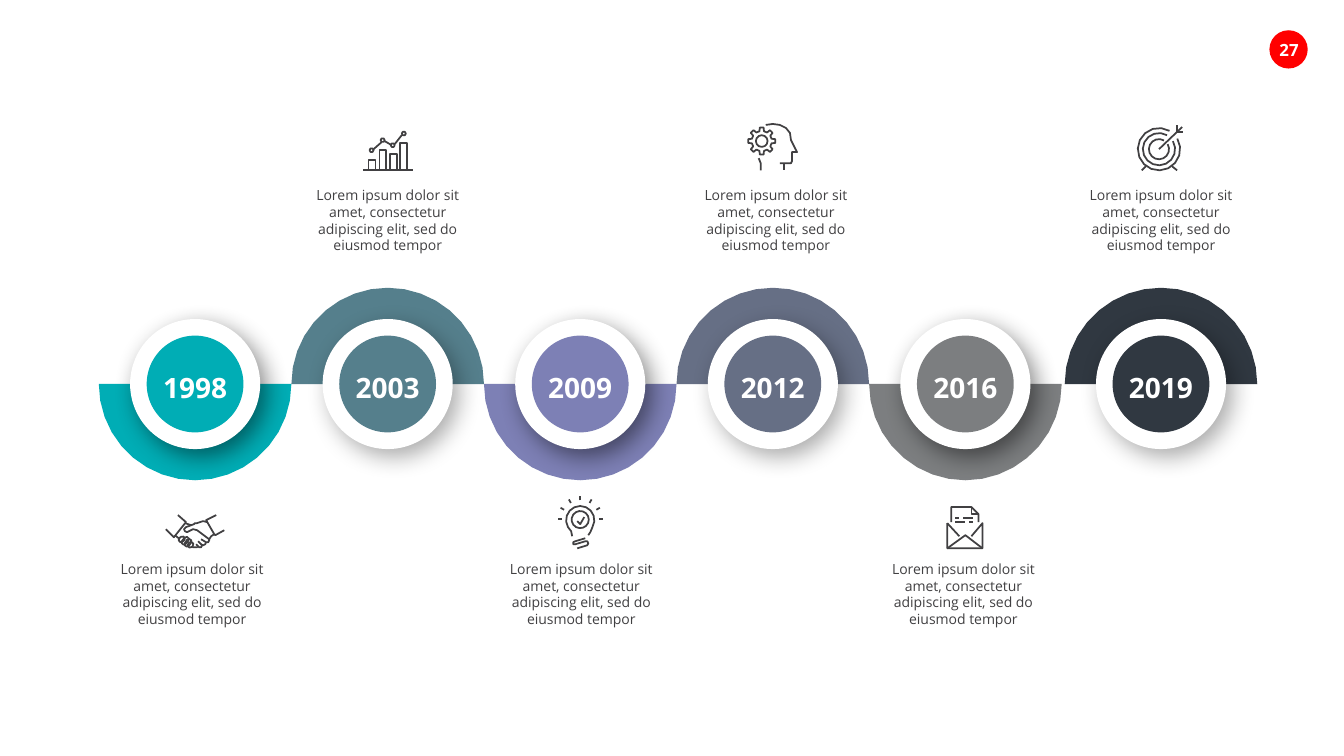
import math

import lxml.etree
import pptx
import pptx.dml.color
import pptx.enum.shapes
import pptx.enum.text
import pptx.oxml.ns
import pptx.util

FONT = "Open Sans"
INK = "414042"
WHITE = "FFFFFF"
LABEL = "Lorem ipsum dolor sit amet, consectetur adipiscing elit, sed do eiusmod tempor"

# Grid in inches: one column per stop, all hung on the middle axis
LEFT, COLUMN, AXIS = 0.98, 1.91, 3.81
RADIUS = COLUMN / 2
ICON_BASE = {"up": 1.69, "down": 5.44}
LABEL_TOP = {"up": 1.8, "down": 5.51}


# Stroke geometry: lists of (x, y) points, y pointing up
def polar(x, y, radius, angle):
    turn = math.radians(angle)
    return x + radius * math.cos(turn), y + radius * math.sin(turn)


def arc(x, y, radius, start=0, end=360, step=24):
    count = math.ceil(abs(end - start) / step)
    return [polar(x, y, radius, start + (end - start) * i / count) for i in range(count + 1)]


def bar(left, right, height):
    return [(left, 0), (left, height), (right, height), (right, 0), (left, 0)]


def finger(x1, y1, x2, y2, radius=2.4):
    turn = math.degrees(math.atan2(y2 - y1, x2 - x1))
    outline = arc(x1, y1, radius, turn + 90, turn + 270, 60)
    outline += arc(x2, y2, radius, turn - 90, turn + 90, 60)
    return outline + outline[:1]


def ray(x, y, inner, outer, angle):
    return [polar(x, y, radius, angle) for radius in (inner, outer)]


def gear(x, y):
    corners = ((10, -13), (13.5, -8), (13.5, 8), (10, 13))
    outline = [polar(x, y, radius, tooth + turn)
               for tooth in range(0, 360, 45) for radius, turn in corners]
    return outline + outline[:1]


# Icons in hundredths of an inch, from the middle of the column and the icon's base
HANDSHAKE = [
    finger(-14, 8.5, -12.5, 9.5), finger(-11, 6, -8.5, 9),
    finger(-8, 4, -6, 7), finger(-5, 3, -4, 4),
    [(6, 9), (11, 6), (13, 6), (14, 8), (14, 9)],
    [(3, 7), (6, 4), (8, 3), (10, 4), (11, 6)],
    [(1, 4), (3, 2), (4, 1), (6, 1), (7, 3), (6, 4)],
    [(-3, 2), (-2, 1), (0, 1), (2, 1), (2, 2)],
    [(21, 33), (11, 28), (19, 14), (20, 13), (29, 18)],
    [(12, 26), (8, 27), (2, 25), (0, 25), (-1, 24), (-9, 21), (-11, 19),
     (-10, 17), (-8, 16), (-2, 19), (2, 18), (14, 9), (16, 12), (19, 14)],
    [(-29, 19), (-21, 11), (-9, 26), (-17, 33)],
    [(-20, 13), (-15, 9)], [(-4, 23), (-10, 25)],
]
CHART = [
    [(-24, 0), (25, 0)],
    bar(-19, -12, 10), bar(-8, -2, 20), bar(2, 9, 16), bar(12, 19, 27),
    *[arc(x, y, 2, step=60) for x, y in ((-16, 20), (-5, 30), (5, 25), (16, 36.5))],
    [(-14, 21), (-6, 28)], [(-3, 29), (4, 25)], [(7, 26), (14, 35)],
]
BULB = [
    [(-8, 12), (-9, 17), *arc(0, 28, 14, 210, -30), (10, 16), (8, 13)],
    arc(0, 28.5, 8.5), [(-3, 27), (0, 24), (4, 31)],
    *[ray(0, 29, 18.5, 22.5, angle) for angle in range(0, 181, 30)],
    [(5, 10), (-5, 7), (-7, 6), (-7, 4), (-5, 4), (5, 7), (7, 7), (8, 5), (7, 3), (-3, 0)],
]
THINKER = [
    [(-7, 45), (0, 46), (7, 45), (13, 42), (17, 37), (18, 30), (24, 18), (19, 18),
     (19, 9), (18, 7), (16, 7), (7, 7)],
    [(11, 7), (11, 0)], [(-12, 0), (-12, 7), (-14, 12)],
    gear(-11, 29), arc(-11, 29, 5.8, step=30),
]
LETTER = [
    [(-18, 25), (-18, 0), (17, 0), (17, 25), (6, 12)],
    [(17, 0), (0, 13), (-18, 0)], [(-18, 25), (-6, 12)],
    [(13, 26), (13, 34), (6, 41), (-14, 41), (-14, 26)],
    [(6, 41), (6, 34), (13, 34)],
    [(-10, 30), (-6, 30)], [(-2, 30), (8, 30)], [(-10, 26), (0, 26)], [(4, 26), (8, 26)],
]
TARGET = [
    *[arc(-2, 21, radius, 30, -300) for radius in (21, 16, 10)],
    [(-2, 21), (21, 43)], [(16, 45), (16, 38), (22, 38)],
    [(-19, 0), (-15, 4)], [(11, 4), (16, 0)],
]

# Year, colour, side of the axis, icon, shift of the column, shift of the label
STOPS = [
    ("1998", "00ADB5", "down", HANDSHAKE, 0, -0.03),
    ("2003", "557F8C", "up", CHART, 0, 0),
    ("2009", "7D80B5", "down", BULB, 0, 0.01),
    ("2012", "666F85", "up", THINKER, 0, 0.03),
    ("2016", "7C7E80", "down", LETTER, 0, -0.02),
    ("2019", "303841", "up", TARGET, 0.03, 0),
]


def colour(code):
    return pptx.dml.color.RGBColor.from_string(code)


def inches(*lengths):
    return [pptx.util.Inches(length) for length in lengths]


def add_strokes(page, strokes, x, y, unit):
    """Draw strokes as one outline, their zero point at x, y."""
    placed = [[inches(x + a * unit, y - b * unit) for a, b in stroke] for stroke in strokes]
    builder = page.shapes.build_freeform(*placed[0][0], scale=1.0)
    for index, points in enumerate(placed):
        if index:
            builder.move_to(*points[0])
        builder.add_line_segments(points[1:], close=False)
    outline = builder.convert_to_shape()
    outline.shadow.inherit = False
    return outline


def add_half_disc(page, middle, side, fill):
    start = 0 if side == "up" else 180
    rim = arc(0, 0, 1, start, start + 180, 10)
    half = add_strokes(page, [rim + rim[:1]], middle, AXIS, RADIUS)
    half.fill.solid()
    half.fill.fore_color.rgb = colour(fill)
    half.line.fill.background()


def add_icon(page, strokes, middle, base):
    icon = add_strokes(page, strokes, middle, base, 0.01)
    icon.fill.background()
    icon.line.color.rgb = colour(INK)
    icon.line.width = pptx.util.Pt(1.25)


def add_disc(shapes, x, y, size, fill):
    oval = pptx.enum.shapes.MSO_SHAPE.OVAL
    disc = shapes.add_shape(oval, *inches(x - size / 2, y - size / 2, size, size))
    disc.fill.solid()
    disc.fill.fore_color.rgb = colour(fill)
    disc.line.fill.background()
    disc.shadow.inherit = False
    return disc


def add_glow(disc, opacity):
    qn = pptx.oxml.ns.qn
    effects = disc._element.spPr.find(qn("a:effectLst"))
    shadow = lxml.etree.SubElement(
        effects, qn("a:outerShdw"), blurRad=str(pptx.util.Pt(17)), dist=str(pptx.util.Pt(7)),
        dir=str(50 * 60000), algn="ctr", rotWithShape="0")
    black = lxml.etree.SubElement(shadow, qn("a:srgbClr"), val="000000")
    lxml.etree.SubElement(black, qn("a:alpha"), val=str(opacity * 1000))


def add_text(shapes, text, place, size, ink, bold=False, wrap=False, inset=True):
    box = shapes.add_textbox(*inches(*place))
    frame = box.text_frame
    frame.word_wrap = wrap
    frame.auto_size = pptx.enum.text.MSO_AUTO_SIZE.SHAPE_TO_FIT_TEXT
    if not inset:
        frame.margin_left = frame.margin_right = frame.margin_top = frame.margin_bottom = 0
    frame.text = text
    para = frame.paragraphs[0]
    para.alignment = pptx.enum.text.PP_ALIGN.CENTER
    font = para.runs[0].font
    font.name, font.size, font.bold = FONT, pptx.util.Pt(size), bold
    font.color.rgb = colour(ink)


def add_marker(page, middle, year, fill, opacity):
    shapes = page.shapes.add_group_shape().shapes
    add_glow(add_disc(shapes, middle, AXIS, 1.29, WHITE), opacity)
    add_disc(shapes, middle, AXIS, 0.96, fill)
    add_text(shapes, year, (middle - 0.32, 3.68, 0.64, 0.34), 20, WHITE, bold=True, inset=False)


def main():
    deck = pptx.Presentation()
    deck.slide_width, deck.slide_height = inches(13.33, 7.5)
    page = deck.slides.add_slide(deck.slide_layouts[6])

    # Page number
    add_disc(page.shapes, 12.78, 0.49, 0.38, "FF0000")
    add_text(page.shapes, "27", (12.57, 0.35, 0.43, 0.3), 12, WHITE, bold=True)

    # Wave of half discs, below the markers
    middles = [LEFT + COLUMN * (i + 0.5) + stop[4] for i, stop in enumerate(STOPS)]
    for middle, (_, fill, side, *_) in zip(middles, STOPS):
        add_half_disc(page, middle, side, fill)

    # Markers, icons and labels
    for middle, (year, fill, side, icon, _, shift) in zip(middles, STOPS):
        add_marker(page, middle, year, fill, 45 if side == "down" else 32)
        add_icon(page, icon, middle, ICON_BASE[side])
        place = (middle + shift - 0.845, LABEL_TOP[side], 1.69, 0.77)
        add_text(page.shapes, LABEL, place, 10, INK, wrap=True)

    deck.save("out.pptx")


if __name__ == "__main__":
    main()
